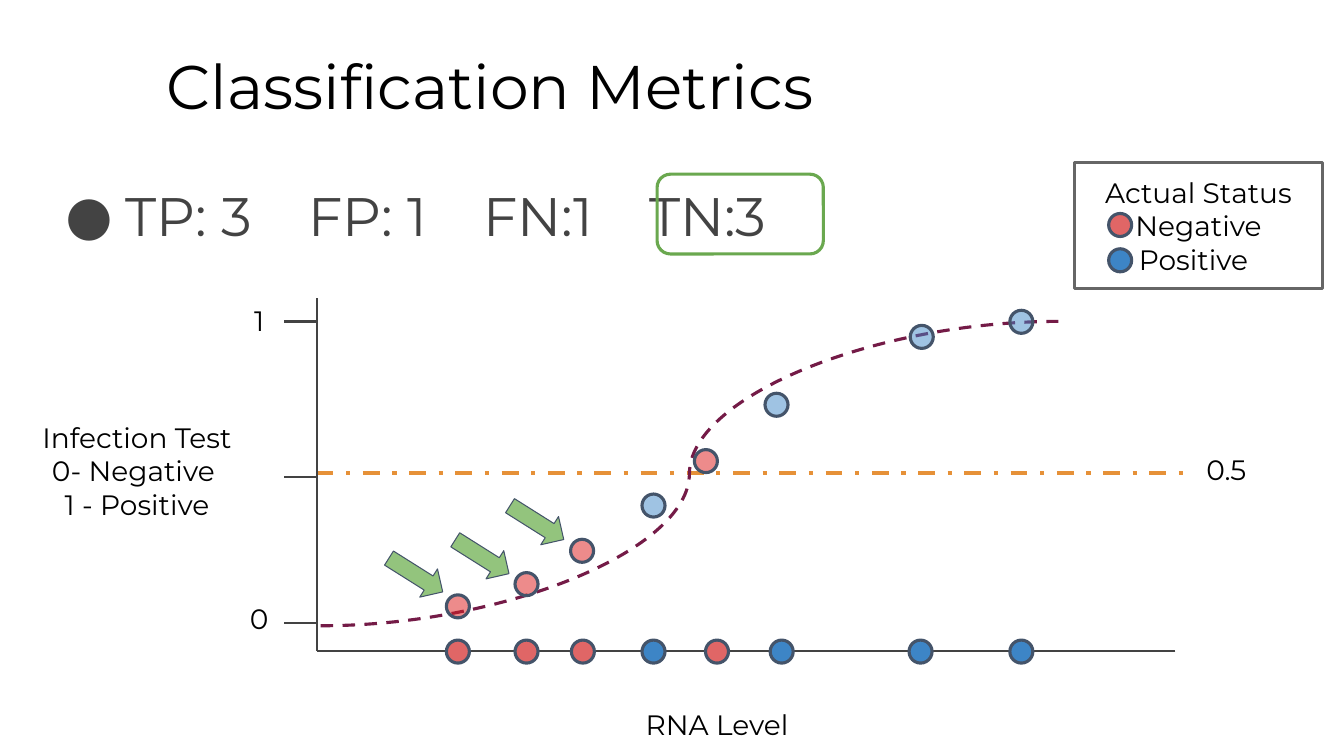
from lxml.etree import SubElement
from pptx import Presentation
from pptx.dml.color import RGBColor
from pptx.enum.dml import MSO_LINE
from pptx.enum.shapes import MSO_CONNECTOR, MSO_SHAPE
from pptx.enum.text import MSO_ANCHOR, MSO_AUTO_SIZE, PP_ALIGN
from pptx.oxml.ns import qn
from pptx.util import Cm, Pt

FONT = "Montserrat"
COLORS = {
    "text": "000000", "body": "434343", "outline": "44546A",
    "negative": "E06666", "positive": "3D85C6", "negative_fit": "DE2222",
    "threshold": "E69138", "curve": "741B47", "arrow": "93C47D",
    "highlight": "6AA84F", "frame": "666666",
}
ALPHA = {"negative_fit": 52, "positive": 49}

TITLE = "Classification Metrics"
METRICS = ["TP: 3", "FP: 1", "FN:1", "TN:3"]
METRIC_GAP = 30.4
LABELS = [
    (["0"], (5.94, 14.83, 1.19, 1.14)),
    (["1"], (5.94, 7.32, 1.19, 1.14)),
    (["Infection Test", "0- Negative ", "1 - Positive"], (0.33, 10.26, 6.25, 2.77)),
    (["RNA Level"], (15.39, 17.5, 5.36, 1.6)),
    (["0.5"], (29.85, 11.07, 2.11, 1.14)),
]
LEGEND = ["Actual Status", "Negative", "Positive"]
LEGEND_DOTS = [("negative", 5.38), ("positive", 6.27)]

AXIS_X, AXIS_TOP, AXIS_Y, AXIS_RIGHT = 7.98, 7.52, 16.41, 29.62
TICKS, TICK_LEN = [8.1, 12.01, 15.7], 0.82
THRESHOLD_Y, THRESHOLD_RIGHT = 11.91, 30.05
DOT, AXIS_DOT_TOP = 0.58, 16.13
AXIS_DOTS = {
    "negative": [11.25, 12.98, 14.4, 17.78],
    "positive": [16.18, 19.41, 22.91, 25.45],
}
FIT_DOTS = {
    "negative_fit": [(11.25, 14.99), (12.98, 14.43), (14.38, 13.59), (17.5, 11.33)],
    "positive": [(16.18, 12.45), (19.28, 9.91), (22.94, 8.2), (25.45, 7.82)],
}
ARROWS = [(9.68, 14.07), (11.35, 13.61), (12.73, 12.75)]


def rgb(name):
    return RGBColor.from_string(COLORS[name])


def add_run(p, text, size=20, color="text"):
    r = p.add_run()
    r.text = text
    r.font.size, r.font.name = Pt(size), FONT
    r.font.color.rgb = rgb(color)
    return r


def setup_frame(tf):
    tf.word_wrap, tf.auto_size = True, MSO_AUTO_SIZE.NONE
    tf.vertical_anchor = MSO_ANCHOR.TOP
    tf.margin_left = tf.margin_right = tf.margin_top = tf.margin_bottom = Cm(0.33)


def write_lines(tf, lines):
    setup_frame(tf)
    for i, line in enumerate(lines):
        p = tf.add_paragraph() if i else tf.paragraphs[0]
        p.alignment = PP_ALIGN.CENTER
        add_run(p, line)


def add_text(s, box):
    return s.shapes.add_textbox(*map(Cm, box)).text_frame


def add_line(s, start, end, color="body", width=1.5, dash=None, kind=MSO_CONNECTOR.STRAIGHT):
    line = s.shapes.add_connector(kind, *map(Cm, start + end))
    line.line.color.rgb, line.line.width = rgb(color), Pt(width)
    if dash:
        line.line.dash_style = dash
    SubElement(line._element.spPr, qn("a:effectLst"))


def add_shape(s, kind, box, fill=None, line="outline", width=2.25, alpha=None):
    sp = s.shapes.add_shape(kind, *map(Cm, box))
    sp.shadow.inherit = False
    sp.line.color.rgb, sp.line.width = rgb(line), Pt(width)
    if fill:
        sp.fill.solid()
        sp.fill.fore_color.rgb = rgb(fill)
    else:
        sp.fill.background()
    if alpha:
        color = sp._element.spPr.find(qn("a:solidFill")).find(qn("a:srgbClr"))
        SubElement(color, qn("a:alpha"), val=str(alpha * 1000))
    return sp


def add_dot(s, x, y, fill, alpha=None):
    add_shape(s, MSO_SHAPE.OVAL, (x, y, DOT, DOT), fill, alpha=alpha)


def add_title(s):
    title = s.shapes.title
    title.left, title.top, title.width, title.height = map(Cm, (3.86, 1.09, 28.85, 2.13))
    setup_frame(title.text_frame)
    p = title.text_frame.paragraphs[0]
    p.alignment, p.line_spacing = PP_ALIGN.LEFT, 0.9
    add_run(p, TITLE, 44)


def add_metrics(s):
    tf = add_text(s, (1.14, 4.27, 32.16, 12.65))
    setup_frame(tf)
    p = tf.paragraphs[0]
    pPr = p._p.get_or_add_pPr()
    pPr.set("marL", str(Cm(1.7)))
    pPr.set("indent", str(Cm(-1.52)))
    SubElement(SubElement(pPr, qn("a:buClr")), qn("a:srgbClr"), val=COLORS["body"])
    SubElement(pPr, qn("a:buFont"), typeface=FONT)
    SubElement(pPr, qn("a:buChar"), char="●")
    for i, metric in enumerate(METRICS):
        if i:
            gap = add_run(p, " ", 38.7, "body")
            gap._r.get_or_add_rPr().set("spc", str(round(METRIC_GAP * 100)))
        add_run(p, metric, 38.7, "body")


def add_plot(s):
    add_line(s, (AXIS_X, AXIS_TOP), (AXIS_X, AXIS_Y))
    add_line(s, (AXIS_RIGHT, AXIS_Y), (AXIS_X, AXIS_Y))
    for y in TICKS:
        add_line(s, (AXIS_X, y), (AXIS_X - TICK_LEN, y))
    add_line(s, (8.08, 15.77), (26.67, 8.1), "curve", 2.25, MSO_LINE.DASH, MSO_CONNECTOR.CURVE)
    for status, xs in AXIS_DOTS.items():
        for x in xs:
            add_dot(s, x, AXIS_DOT_TOP, status)
    for status, points in FIT_DOTS.items():
        for x, y in points:
            add_dot(s, x, y, status, ALPHA[status])
    for lines, box in LABELS:
        write_lines(add_text(s, box), lines)


def add_legend(s):
    tf = add_shape(s, MSO_SHAPE.RECTANGLE, (27.08, 4.09, 6.25, 3.18), line="frame").text_frame
    write_lines(tf, LEGEND)
    p = tf.paragraphs[-1]
    p.alignment = PP_ALIGN.LEFT
    p._p.get_or_add_pPr().set("marL", str(Cm(1.29)))
    for status, y in LEGEND_DOTS:
        add_dot(s, 27.94, y, status)


def main():
    """Build the classification metrics slide."""
    prs = Presentation()
    prs.slide_width, prs.slide_height = Cm(33.87), Cm(19.05)
    s = prs.slides.add_slide(prs.slide_layouts[5])
    add_line(s, (AXIS_X, THRESHOLD_Y), (THRESHOLD_RIGHT, THRESHOLD_Y),
             "threshold", 3, MSO_LINE.DASH_DOT)
    add_title(s)
    add_metrics(s)
    add_plot(s)
    add_legend(s)
    for x, y in ARROWS:
        arrow = add_shape(s, MSO_SHAPE.RIGHT_ARROW, (x, y, 1.6, 0.84), "arrow", width=0.75)
        arrow.rotation = 32.2
    add_shape(s, MSO_SHAPE.ROUNDED_RECTANGLE, (16.56, 4.39, 4.19, 2.01), line="highlight")
    prs.save("out.pptx")


if __name__ == "__main__":
    main()
